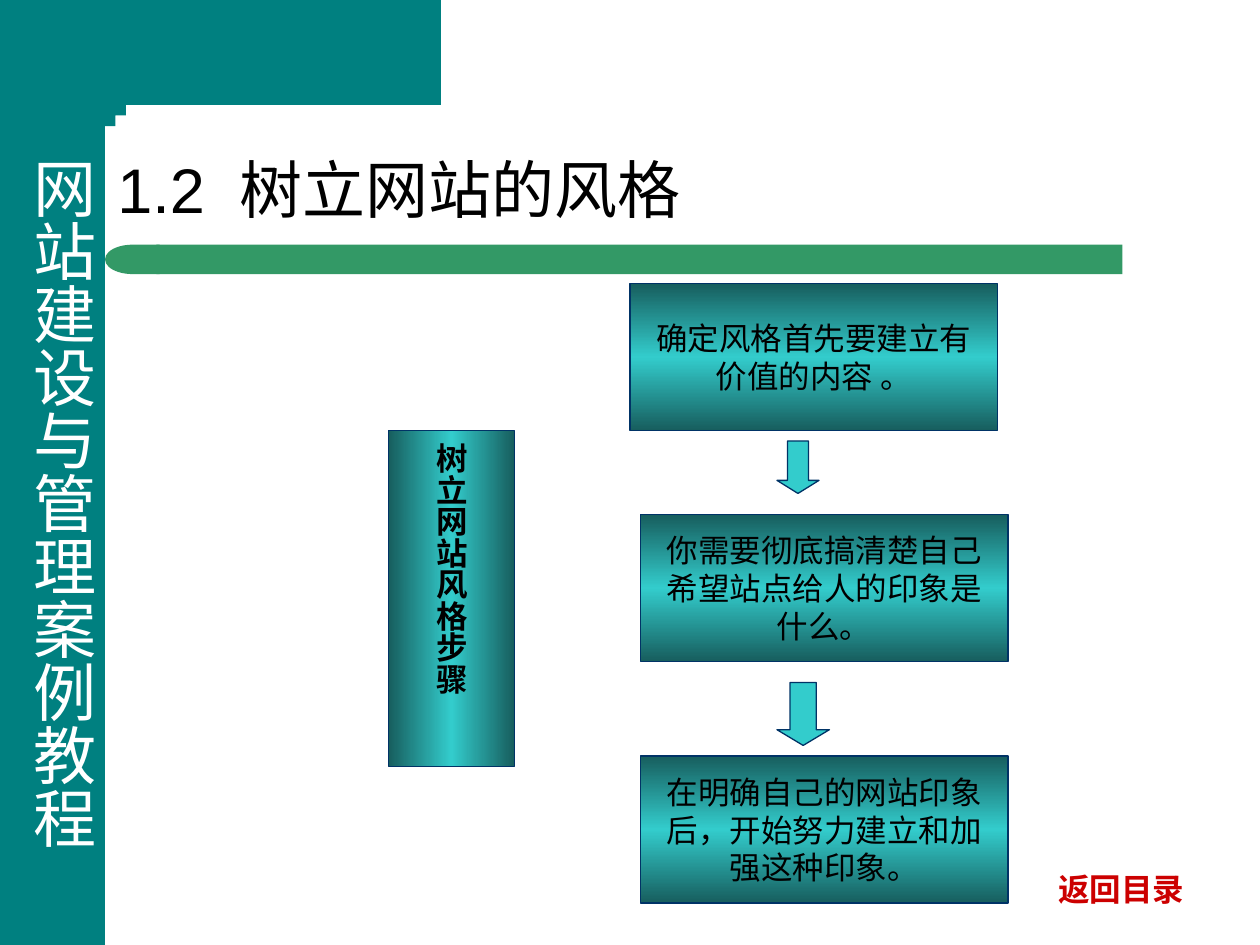
from copy import deepcopy
from math import cos, pi, sin

from pptx import Presentation
from pptx.dml.color import RGBColor
from pptx.enum.shapes import MSO_SHAPE
from pptx.enum.text import MSO_ANCHOR, PP_ALIGN
from pptx.oxml.ns import qn
from pptx.util import Inches, Pt

TEAL = RGBColor(0x00, 0x80, 0x80)
GREEN = RGBColor(0x33, 0x99, 0x66)
DARK = RGBColor(0x17, 0x5E, 0x5E)
CYAN = RGBColor(0x33, 0xCC, 0xCC)
NAVY = RGBColor(0x00, 0x33, 0x66)
RED = RGBColor(0xCC, 0x00, 0x00)
WHITE = RGBColor(0xFF, 0xFF, 0xFF)
BLACK = RGBColor(0x00, 0x00, 0x00)

prs = Presentation()
prs.slide_width, prs.slide_height = Inches(10), Inches(7.5)
CELL = prs.slide_width / 120
s = prs.slides.add_slide(prs.slide_layouts[6])


def add_block(kind, box, color, line=None, angle=None):
    sp = s.shapes.add_shape(kind, *[round(v * CELL) for v in box])
    sp.shadow.inherit = False
    if angle is None:
        sp.fill.solid()
        sp.fill.fore_color.rgb = color
    else:
        sp.fill.gradient()
        sp.fill.gradient_angle = angle
        stops = sp._element.spPr.find(".//" + qn("a:gsLst"))
        stops.append(deepcopy(stops[0]))
        for stop, pos, rgb in zip(stops, (0, 50000, 100000), (DARK, color, DARK)):
            stop.set("pos", str(pos))
        for stop, rgb in zip(sp.fill.gradient_stops, (DARK, color, DARK)):
            stop.color.rgb = rgb
    if line is None:
        sp.line.fill.background()
    else:
        sp.line.color.rgb = line
        sp.line.width = Pt(0.75)
    return sp


def set_text(sp, runs, color, size=18, bold=False, vertical=False, **frame):
    tf = sp.text_frame
    margins = (0.05, 0.1) if vertical else (0.1, 0.05)
    fmt = {"word_wrap": True, "vertical_anchor": MSO_ANCHOR.TOP, **frame}
    for side, value in zip(("left", "top", "right", "bottom"), margins * 2):
        fmt["margin_" + side] = Inches(value)
    for name, value in fmt.items():
        setattr(tf, name, value)
    if vertical:
        tf._txBody.bodyPr.set("vert", "eaVert")
    p = tf.paragraphs[0]
    for text in runs:
        r = p.add_run()
        r.text = text
        for name, value in {"size": Pt(size), "name": "Arial", "bold": bold}.items():
            setattr(r.font, name, value)
        r.font.color.rgb = color
    return p


add_block(MSO_SHAPE.RECTANGLE, (0, 0, 10, 90), TEAL)

arc = [(14 - 4 * sin(a), 14 - 4 * cos(a)) for a in [i * pi / 32 for i in range(17)]]
fb = s.shapes.build_freeform(42, 0, scale=CELL)
fb.add_line_segments([(42, 10), *arc, (10, 15.4), (6, 15.4), (6, 0)], close=True)
corner = fb.convert_to_shape()
corner.shadow.inherit = False
corner.fill.solid()
corner.fill.fore_color.rgb = TEAL
corner.line.fill.background()

bar = add_block(MSO_SHAPE.ROUNDED_RECTANGLE, (14.9, 23.3, 92, 2.8), GREEN)
bar.adjustments[0] = 0
cap = add_block(MSO_SHAPE.FLOWCHART_DELAY, (10, 23.3, 5.2, 2.8), GREEN)
cap._element.spPr.find(qn("a:xfrm")).set("flipH", "1")

labels = [
    ((0.6, 13.8, 9.6, 67.2), ["网站建设与管理案例教程"], WHITE,
     {"size": 36, "vertical": True, "word_wrap": False}),
    ((99.6, 82.3, 14.4, 4.8), ["返回目录"], RED, {"bold": True, "word_wrap": False}),
    ((10, 9.1, 104, 13.1), ["1.2", " ", "树立网站的风格"], BLACK,
     {"size": 36, "vertical_anchor": MSO_ANCHOR.BOTTOM}),
]
for box, runs, color, fmt in labels:
    tb = s.shapes.add_textbox(*[round(v * CELL) for v in box])
    p = set_text(tb, runs, color, **fmt)
p.line_spacing = 0.9
p.runs[1]._r.get_or_add_rPr().set("spc", "1000")

steps = [
    (60, 27, "确定风格首先要建立有价值的内容 。"),
    (61, 49, "你需要彻底搞清楚自己希望站点给人的印象是什么。"),
    (61, 72, "在明确自己的网站印象后，开始努力建立和加强这种印象。"),
]
for col, row, text in steps:
    sp = add_block(MSO_SHAPE.RECTANGLE, (col, row, 35, 14), CYAN, NAVY, 90)
    p = set_text(sp, [text], BLACK, vertical_anchor=MSO_ANCHOR.MIDDLE)
    p.alignment = PP_ALIGN.CENTER

for row, width, height, head in [(42, 4, 5, 0.31), (65, 5, 6, 0.3)]:
    sp = add_block(MSO_SHAPE.DOWN_ARROW, (74, row, width, height), CYAN, NAVY)
    sp.adjustments[0], sp.adjustments[1] = 0.5, head

sp = add_block(MSO_SHAPE.RECTANGLE, (37, 41, 12, 32), CYAN, NAVY, 0)
p = set_text(sp, ["树立网站风格步骤"], BLACK, bold=True, vertical=True,
             word_wrap=False, vertical_anchor=MSO_ANCHOR.MIDDLE)
p.alignment = PP_ALIGN.CENTER

prs.save("out.pptx")
